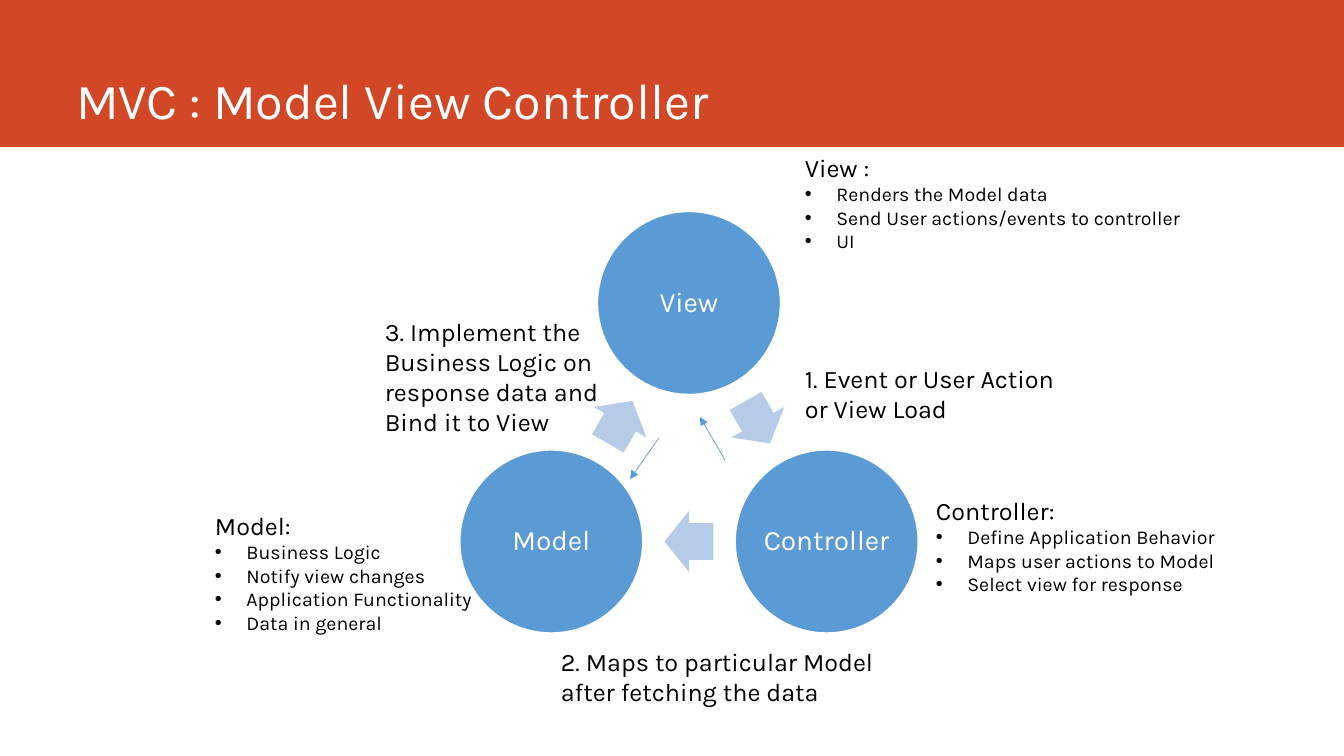
from math import cos, radians, sin

from pptx import Presentation
from pptx.dml.color import RGBColor
from pptx.enum.shapes import MSO_CONNECTOR, MSO_SHAPE
from pptx.enum.text import MSO_ANCHOR, PP_ALIGN
from pptx.oxml.ns import qn
from pptx.util import Emu, Pt

RECT, OVAL, ARROW = MSO_SHAPE.RECTANGLE, MSO_SHAPE.OVAL, MSO_SHAPE.RIGHT_ARROW
LINE = MSO_CONNECTOR.STRAIGHT
TOP, MID, LOW = MSO_ANCHOR.TOP, MSO_ANCHOR.MIDDLE, MSO_ANCHOR.BOTTOM
LEFT, CENTER = PP_ALIGN.LEFT, PP_ALIGN.CENTER
FONT = "Karla"
WHITE, BLACK, RED, BLUE, PALE = "FFFFFF", "000000", "D24726", "5B9BD5", "B5CBE7"


def px(n):
    """Turn picture pixels into EMU."""
    return Emu(round(n * 914400 / 100.8))


def color(code):
    """Turn a hex string into a colour."""
    return RGBColor.from_string(code)


def write(para, text, size=18, ink=BLACK, align=LEFT, space=None, bullet=False):
    """Put formatted text into a paragraph."""
    run = para.add_run()
    run.text = text
    run.font.name, run.font.size = FONT, Pt(size)
    run.font.color.rgb = color(ink)
    para.alignment = align
    if space:
        para.line_spacing = space
    if bullet:
        props = para._p.get_or_add_pPr()
        props.set("marL", str(px(31.5)))
        props.set("indent", str(-px(31.5)))
        for tag, key, value in (("a:buFont", "typeface", "Arial"), ("a:buChar", "char", "•")):
            props.append(props.makeelement(qn(tag), {key: value}))


class Deck:
    """Holds the style and the current slide."""

    def __init__(self):
        """Start a deck with one title-only slide."""
        self.file = Presentation()
        self.file.slide_width, self.file.slide_height = px(1344), px(756)
        self.slide = self.file.slides.add_slide(self.file.slide_layouts[5])
        self.shapes = self.slide.shapes

    def title(self, text, x, y, w, h):
        """Place and fill the title."""
        box = self.shapes.title
        box.left, box.top, box.width, box.height = map(px, (x, y, w, h))
        box.text_frame.vertical_anchor = LOW
        write(box.text_frame.paragraphs[0], text, size=36, ink=WHITE, space=0.9)

    def shape(self, kind, x, y, w, h, fill, edge=None, turn=0):
        """Add a filled preset shape."""
        item = self.shapes.add_shape(kind, *map(px, (x, y, w, h)))
        item.shadow.inherit = False
        item.fill.solid()
        item.fill.fore_color.rgb = color(fill)
        if edge:
            item.line.color.rgb = color(edge)
            item.line.width = Pt(1)
        else:
            item.line.fill.background()
        item.rotation = turn
        return item

    def band(self, h):
        """Add the header band behind the title."""
        item = self.shape(RECT, 0, 0, 1344, h, RED)
        self.shapes._spTree.insert(2, item._element)

    def node(self, text, x, y, size):
        """Add a circle around a centre, its label kept on one line."""
        item = self.shape(OVAL, x - size / 2, y - size / 2, size, size, BLUE, edge=WHITE)
        frame = item.text_frame
        frame.word_wrap, frame.vertical_anchor = False, MID
        frame.margin_left = frame.margin_right = px(3)
        frame.margin_top = frame.margin_bottom = px(3)
        write(frame.paragraphs[0], text, size=20, ink=WHITE, align=CENTER, space=0.9)

    def arrow(self, x, y, turn):
        """Add a block arrow around a centre."""
        w, h = 49, 61
        item = self.shape(ARROW, x - w / 2, y - h / 2, w, h, PALE, turn=turn)
        item.adjustments[0], item.adjustments[1] = 0.6, 0.5

    def line(self, *ends):
        """Add a thin line with an arrowhead at its end."""
        item = self.shapes.add_connector(LINE, *map(px, ends))
        item.line.color.rgb = color(BLUE)
        item.line.width = Pt(0.5)
        props = item._element.spPr
        edge = props.find(qn("a:ln"))
        edge.append(edge.makeelement(qn("a:tailEnd"), {"type": "triangle"}))
        props.append(props.makeelement(qn("a:effectLst"), {}))

    def note(self, x, y, w, h, head, points=()):
        """Add a text box with a heading and bullets."""
        frame = self.shapes.add_textbox(*map(px, (x, y, w, h))).text_frame
        frame.word_wrap, frame.vertical_anchor = True, TOP
        write(frame.paragraphs[0], head)
        for text in points:
            write(frame.add_paragraph(), text, size=14, bullet=True)


deck = Deck()
deck.band(147)
deck.title("MVC : Model View Controller", 66, 0, 1185, 135)

MIDX, MIDY, REACH = 689, 462, 159
for i, name in enumerate(("View", "Controller", "Model")):
    spot, gap = radians(120 * i - 90), radians(120 * i - 30)
    deck.node(name, MIDX + REACH * cos(spot), MIDY + REACH * sin(spot), 183)
    deck.arrow(MIDX + REACH / 2 * cos(gap), MIDY + REACH / 2 * sin(gap), 60 + 120 * i)

deck.line(725, 460, 700, 417)
deck.line(659, 438, 630, 479)

NOTES = (
    (795, 358, 280, 72, "1. Event or User Action or View Load"),
    (551, 641, 347, 72, "2. Maps to particular Model after fetching the data"),
    (375, 311, 255, 132, "3. Implement the Business Logic on response data and Bind it to View"),
    (795, 147, 414, 112, "View :",
     ("Renders the Model data", "Send User actions/events to controller", "UI")),
    (926, 490, 414, 112, "Controller:",
     ("Define Application Behavior", "Maps user actions to Model", "Select view for response")),
    (205, 505, 298, 136, "Model:",
     ("Business Logic", "Notify view changes", "Application Functionality", "Data in general")),
)
for item in NOTES:
    deck.note(*item)

deck.file.save("out.pptx")
